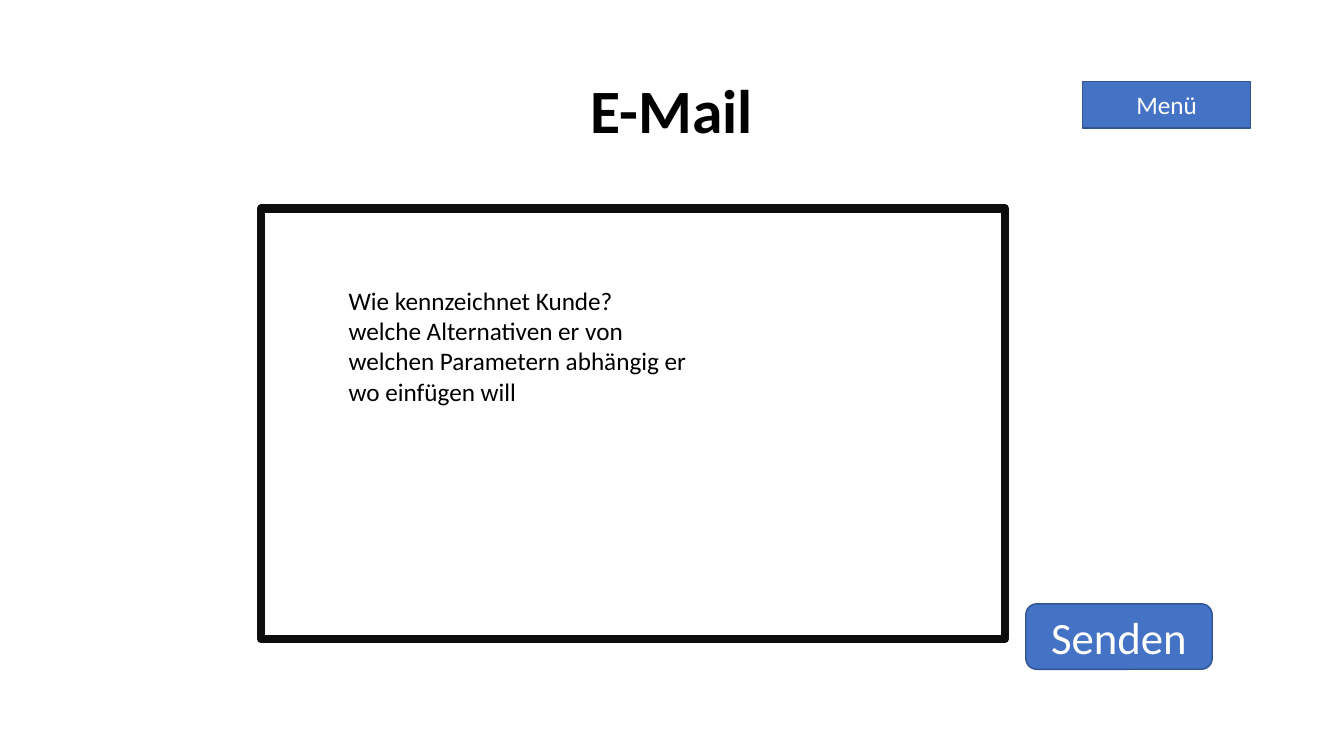
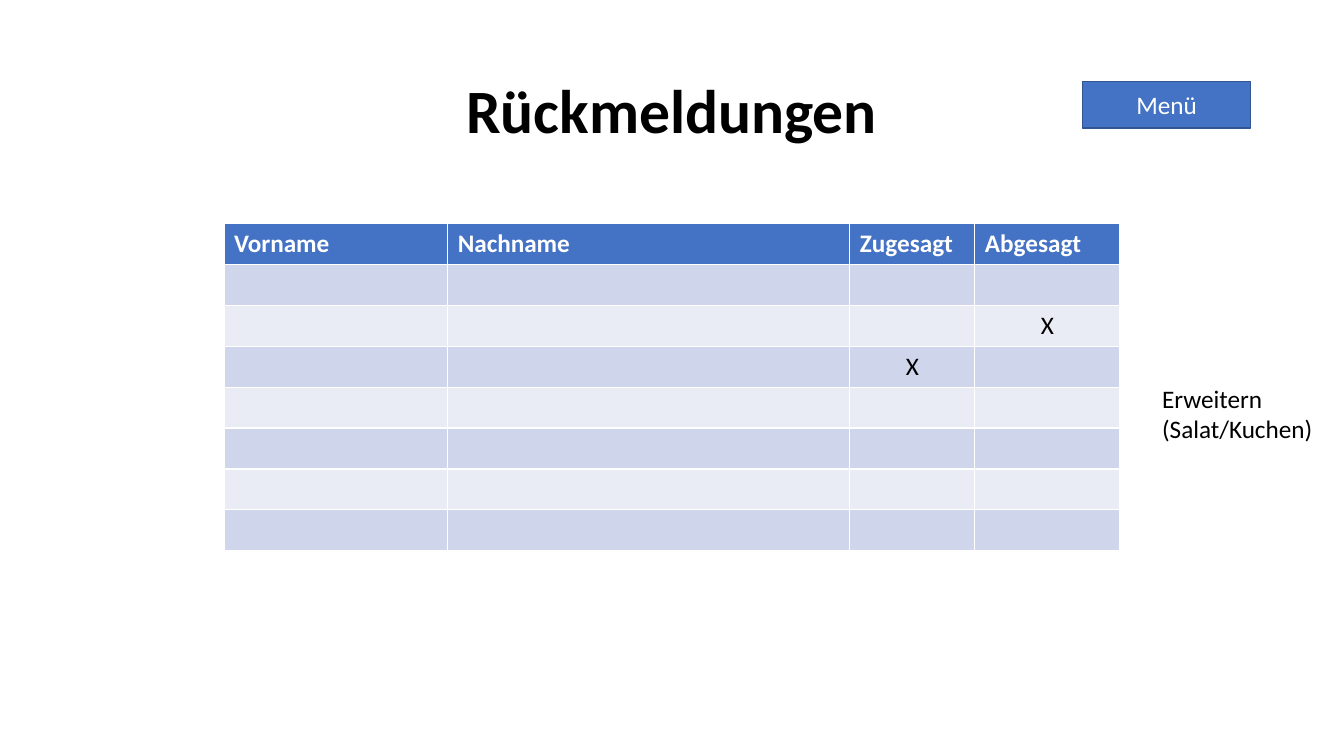
import dataclasses

import pptx
import pptx.dml.color
import pptx.enum.shapes
import pptx.enum.text
import pptx.util

Pt = pptx.util.Pt
RGBColor = pptx.dml.color.RGBColor
Align = pptx.enum.text.PP_ALIGN
Anchor = pptx.enum.text.MSO_ANCHOR
ShapeKind = pptx.enum.shapes.MSO_SHAPE


@dataclasses.dataclass(frozen=True)
class Theme:
    font: str = "Calibri"
    title_size: int = 44
    action_size: int = 32
    body_size: int = 18
    text: str = "000000"
    inverse: str = "FFFFFF"
    accent: str = "4472C4"
    accent_line: str = "325491"
    frame: str = "0D0D0D"
    bands: tuple = ("CFD5EA", "E9EBF5")


THEME = Theme()


# Shared helpers
def color(value):
    return RGBColor.from_string(value)


def points(box):
    return [Pt(length) for length in box]


def format_text(text_frame, size, text_color, align=Align.LEFT, bold=False):
    for paragraph in text_frame.paragraphs:
        paragraph.alignment = align
        for run in paragraph.runs:
            run.font.name = THEME.font
            run.font.size = Pt(size)
            run.font.bold = bold
            run.font.color.rgb = color(text_color)


def set_fill(target, value):
    target.fill.solid()
    target.fill.fore_color.rgb = color(value)


def set_line(shape, value, width):
    shape.line.color.rgb = color(value)
    shape.line.width = Pt(width)


# Slide elements
def add_button(slide, text, box, size, kind=ShapeKind.RECTANGLE):
    button = slide.shapes.add_shape(kind, *points(box))
    button.shadow.inherit = False
    set_fill(button, THEME.accent)
    set_line(button, THEME.accent_line, 1)
    button.text_frame.text = text
    button.text_frame.vertical_anchor = Anchor.MIDDLE
    format_text(button.text_frame, size, THEME.inverse, Align.CENTER)


def add_frame(slide, box):
    frame = slide.shapes.add_shape(ShapeKind.RECTANGLE, *points(box))
    frame.shadow.inherit = False
    frame.fill.background()
    set_line(frame, THEME.frame, 6)


def add_note(slide, text, box):
    text_frame = slide.shapes.add_textbox(*points(box)).text_frame
    text_frame.word_wrap = True
    text_frame.auto_size = pptx.enum.text.MSO_AUTO_SIZE.SHAPE_TO_FIT_TEXT
    text_frame.text = text
    format_text(text_frame, THEME.body_size, THEME.text)


def add_reply_table(slide, left, top, column_widths, row_height, rows):
    # The default table style supplies the white cell borders
    box = (left, top, sum(column_widths), row_height * len(rows))
    table = slide.shapes.add_table(len(rows), len(column_widths), *points(box)).table
    for column, width in zip(table.columns, column_widths):
        column.width = Pt(width)
    for row_index, values in enumerate(rows):
        header = row_index == 0
        fill = THEME.accent if header else THEME.bands[(row_index - 1) % 2]
        table.rows[row_index].height = Pt(row_height)
        for column_index, value in enumerate(values):
            cell = table.cell(row_index, column_index)
            set_fill(cell, fill)
            if value:
                cell.text_frame.text = value
                format_text(
                    cell.text_frame,
                    THEME.body_size,
                    THEME.inverse if header else THEME.text,
                    Align.LEFT if header else Align.CENTER,
                    header,
                )


def add_page(presentation, title_text):
    """Add a slide with the shared title and menu button."""
    slide = presentation.slides.add_slide(presentation.slide_layouts[5])
    title = slide.shapes.title
    title.left, title.top, title.width, title.height = points((66, 28.8, 828, 104.4))
    title.text_frame.text = title_text
    title.text_frame.vertical_anchor = Anchor.MIDDLE
    title.text_frame.paragraphs[0].line_spacing = 0.9
    format_text(title.text_frame, THEME.title_size, THEME.text, Align.CENTER, True)
    add_button(slide, "Menü", (773.3, 58.3, 120.2, 33.1), THEME.body_size)
    return slide


# Slides
def build_email(presentation):
    slide = add_page(presentation, "E-Mail")
    add_button(slide, "Senden", (732.7, 431.3, 133.2, 46.8),
               THEME.action_size, ShapeKind.ROUNDED_RECTANGLE)
    add_frame(slide, (186.5, 149, 531.4, 307.4))
    lines = (
        "Wie kennzeichnet Kunde?",
        "welche Alternativen er von",
        "welchen Parametern abhängig er",
        "wo einfügen will",
    )
    add_note(slide, "\n".join(lines), (241.9, 200.2, 301.7, 94.3))


def build_replies(presentation):
    slide = add_page(presentation, "Rückmeldungen")
    empty = ("", "", "", "")
    rows = [
        ("Vorname", "Nachname", "Zugesagt", "Abgesagt"),
        empty,
        ("", "", "", "X"),
        ("", "", "X", ""),
        *[empty] * 4,
    ]
    add_reply_table(slide, 160, 159.8, (159.8, 287.3, 89.3, 103.7), 29.2, rows)
    add_note(slide, "Erweitern (Salat/Kuchen)", (823, 270, 136.8, 51.1))


def main():
    presentation = pptx.Presentation()
    presentation.slide_width = Pt(960)
    presentation.slide_height = Pt(540)
    build_email(presentation)
    build_replies(presentation)
    presentation.save("out.pptx")


if __name__ == "__main__":
    main()
